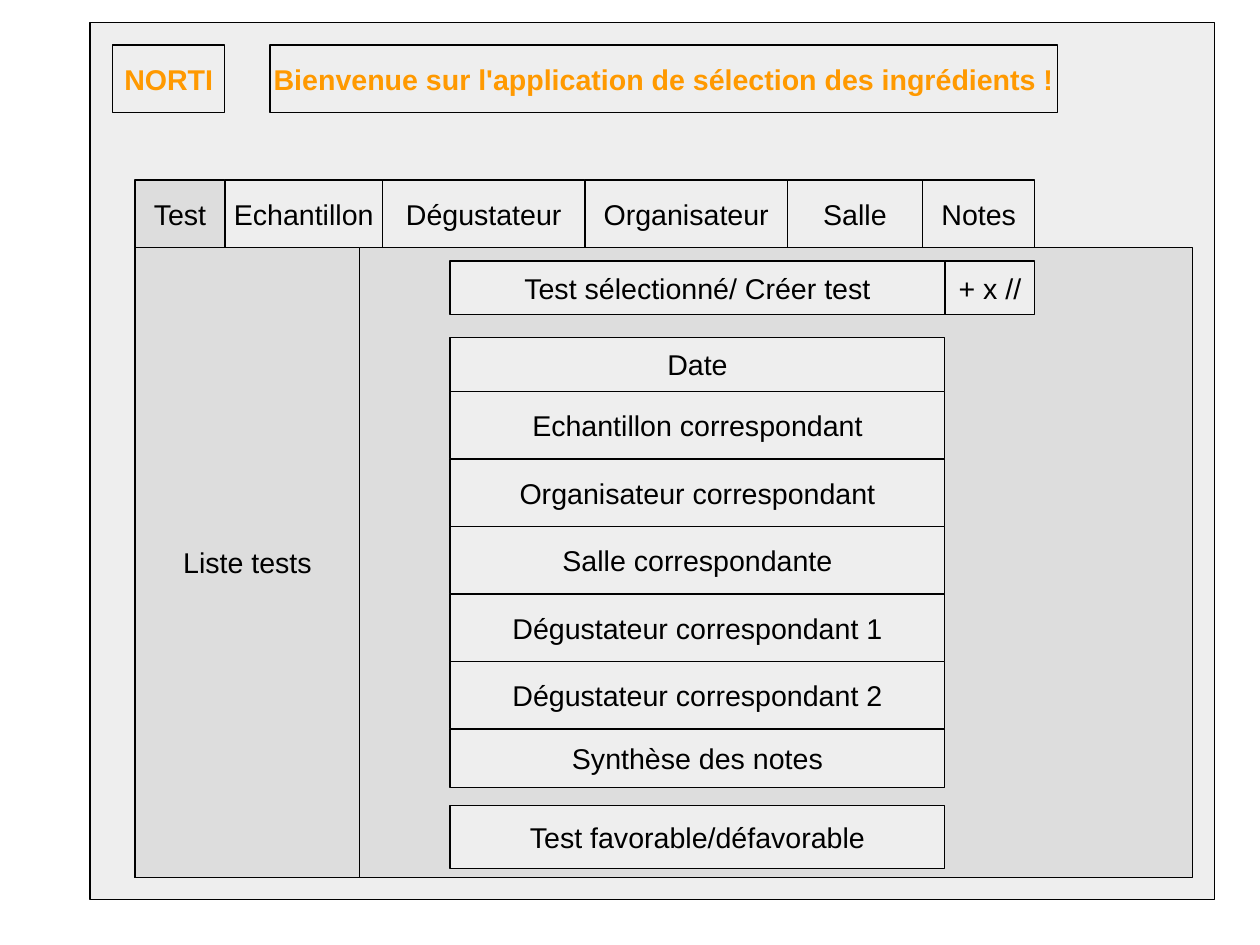
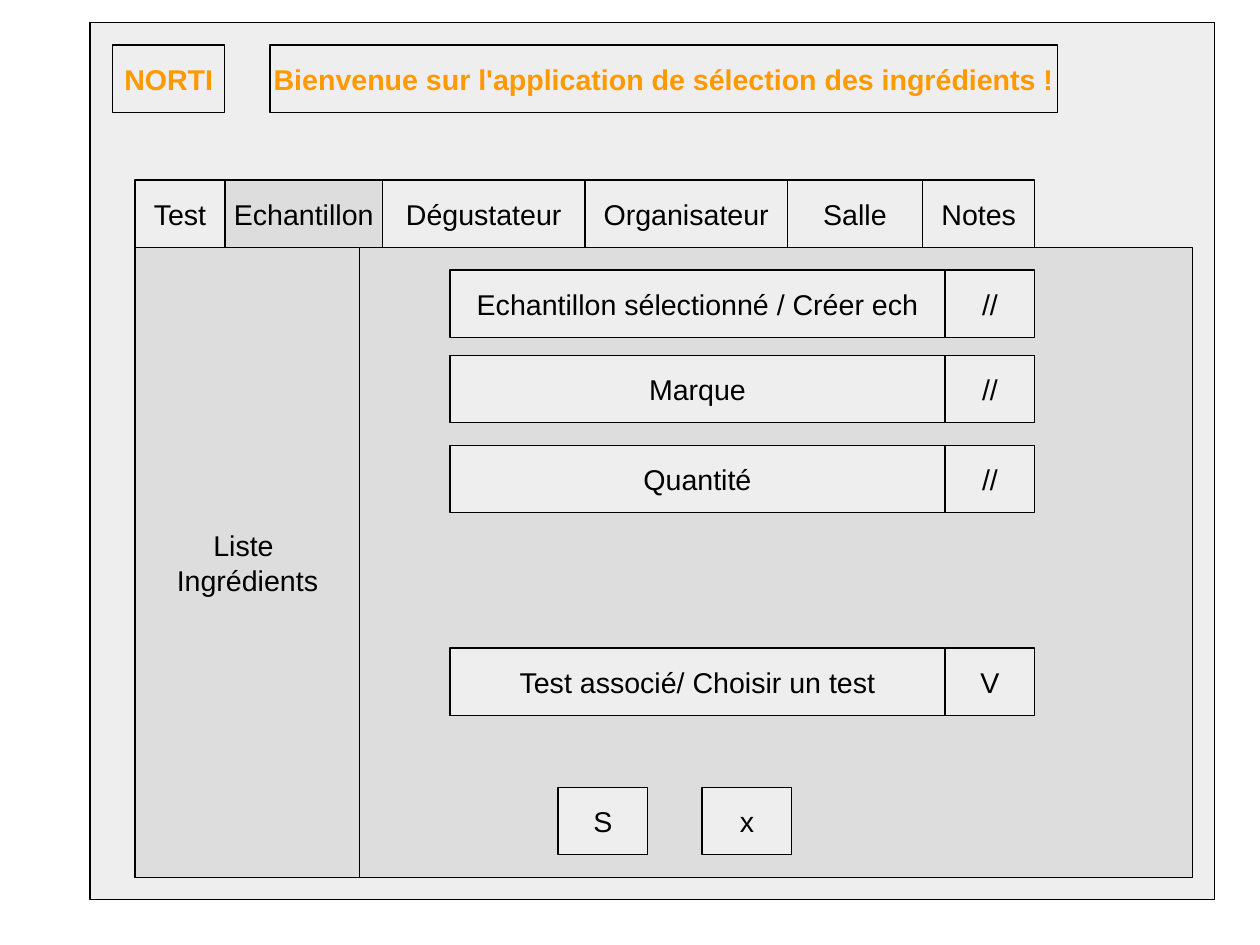
import pptx
import pptx.util
import pptx.dml.color
import pptx.enum.shapes
import pptx.enum.text

COLORS = {"light": "EEEEEE", "active": "DDDDDD", "ink": "000000", "accent": "FF9900"}

# The layout follows a centimetre grid
CM_PER_INCH = 2.54
ROW_HEIGHT = 1.5
FIELD_LEFT, FIELD_WIDTH = 10, 11
BUTTON_LEFT, BUTTON_WIDTH = FIELD_LEFT + FIELD_WIDTH, 2
PANEL_LEFT, PANEL_TOP, PANEL_HEIGHT = 3, 5.5, 14
HEADERS = [("NORTI", 2.5, 2.5),
           ("Bienvenue sur l'application de sélection des ingrédients !", 6, 17.5)]
TABS = [("Test", 2), ("Echantillon", 3.5), ("Dégustateur", 4.5),
        ("Organisateur", 4.5), ("Salle", 3), ("Notes", 2.5)]

# Each field: text, top, height, button text
PAGES = [
    {
        "tab": "Test",
        "list": "Liste tests",
        "fields": [("Test sélectionné/ Créer test", 5.8, 1.2, "+ x //"),
                   ("Test favorable/défavorable", 17.9, 1.4, None)],
        "stack_top": 7.5,
        "stack": [("Date", 1.2),
                  ("Echantillon correspondant", ROW_HEIGHT),
                  ("Organisateur correspondant", ROW_HEIGHT),
                  ("Salle correspondante", ROW_HEIGHT),
                  ("Dégustateur correspondant 1", ROW_HEIGHT),
                  ("Dégustateur correspondant 2", ROW_HEIGHT),
                  ("Synthèse des notes", 1.3)],
        "actions": [],
    },
    {
        "tab": "Echantillon",
        "list": "Liste \nIngrédients",
        "fields": [("Echantillon sélectionné / Créer ech", 6, ROW_HEIGHT, "//"),
                   ("Marque", 7.9, ROW_HEIGHT, "//"),
                   ("Quantité", 9.9, ROW_HEIGHT, "//"),
                   ("Test associé/ Choisir un test", 14.4, ROW_HEIGHT, "V")],
        "stack_top": 0,
        "stack": [],
        "actions": [("S", 12.4), ("x", 15.6)],
    },
]


def grid(value):
    """Turn a length on the centimetre grid into a slide length."""
    return pptx.util.Inches(value / CM_PER_INCH)


def add_box(slide, text, left, top, width, height, fill="light", color="ink", bold=False):
    """Add a hairline-bordered rectangle; each line of text is a centred paragraph."""
    box = slide.shapes.add_shape(pptx.enum.shapes.MSO_SHAPE.RECTANGLE,
                                 grid(left), grid(top), grid(width), grid(height))
    box.shadow.inherit = False
    box.fill.solid()
    box.fill.fore_color.rgb = pptx.dml.color.RGBColor.from_string(COLORS[fill])
    box.line.color.rgb = pptx.dml.color.RGBColor.from_string(COLORS["ink"])
    box.line.width = pptx.util.Pt(0)
    if not text:
        return
    frame = box.text_frame
    frame.text = text
    frame.word_wrap = False
    frame.vertical_anchor = pptx.enum.text.MSO_ANCHOR.MIDDLE
    for para in frame.paragraphs:
        para.alignment = pptx.enum.text.PP_ALIGN.CENTER
        for span in para.runs:
            for name, value in {"name": "Arial", "size": pptx.util.Pt(18), "bold": bold}.items():
                setattr(span.font, name, value)
            span.font.color.rgb = pptx.dml.color.RGBColor.from_string(COLORS[color])


deck = pptx.Presentation()
deck.slide_width, deck.slide_height = grid(28), grid(21)

for page in PAGES:
    slide = deck.slides.add_slide(deck.slide_layouts[6])

    # Window, header and tabs
    add_box(slide, "", 2, 0.5, 25, 19.5)
    for text, left, width in HEADERS:
        add_box(slide, text, left, 1, width, ROW_HEIGHT, color="accent", bold=True)
    left = PANEL_LEFT
    for text, width in TABS:
        fill = "active" if text == page["tab"] else "light"
        add_box(slide, text, left, PANEL_TOP - ROW_HEIGHT, width, ROW_HEIGHT, fill)
        left += width

    # Content panel with its list
    add_box(slide, "", PANEL_LEFT, PANEL_TOP, 23.5, PANEL_HEIGHT, "active")
    add_box(slide, page["list"], PANEL_LEFT, PANEL_TOP, 5, PANEL_HEIGHT, "active")

    # Fields and buttons
    for text, top, height, button in page["fields"]:
        add_box(slide, text, FIELD_LEFT, top, FIELD_WIDTH, height)
        if button:
            add_box(slide, button, BUTTON_LEFT, top, BUTTON_WIDTH, height)
    top = page["stack_top"]
    for text, height in page["stack"]:
        add_box(slide, text, FIELD_LEFT, top, FIELD_WIDTH, height)
        top += height
    for text, left in page["actions"]:
        add_box(slide, text, left, 17.5, BUTTON_WIDTH, ROW_HEIGHT)

deck.save("out.pptx")
